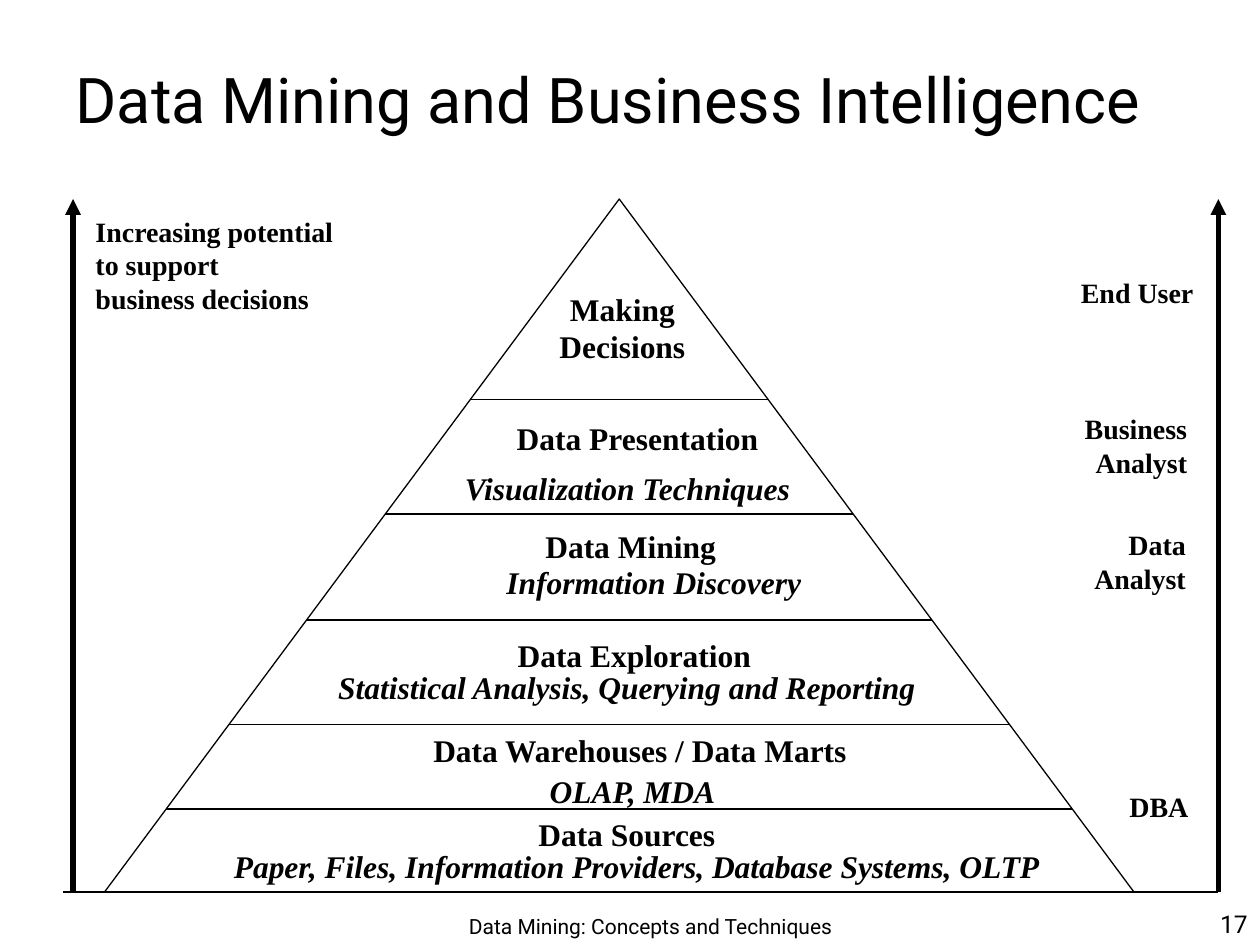
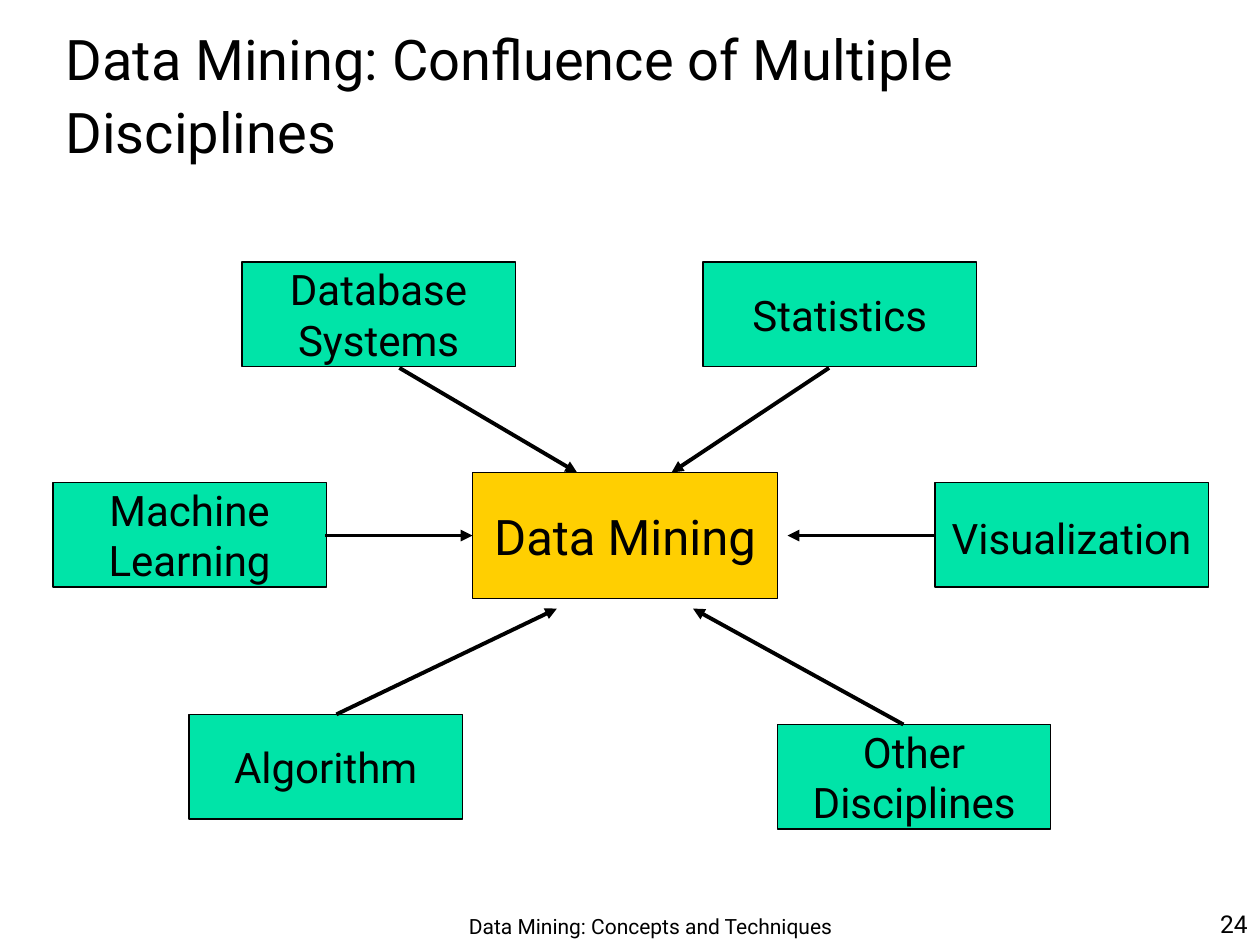
from lxml.etree import SubElement
from pptx import Presentation
from pptx.dml.color import RGBColor
from pptx.enum.shapes import MSO_CONNECTOR, MSO_SHAPE
from pptx.enum.text import MSO_ANCHOR, PP_ALIGN
from pptx.oxml.ns import qn
from pptx.util import Inches, Pt

# Shared look
BLACK = RGBColor(0x00, 0x00, 0x00)
WHITE = RGBColor(0xFF, 0xFF, 0xFF)
GREEN = RGBColor(0x00, 0xE4, 0xA8)
YELLOW = RGBColor(0xFF, 0xCF, 0x01)
SANS = "Roboto"
SERIF = "Times New Roman"
THIN = 0.74
FOOTER = "Data Mining: Concepts and Techniques"
TITLE_ONLY = 5

# Pyramid outline, and room added on each side of a label
LEFT, TOP, WIDTH, HEIGHT = 0.83, 1.58, 8.17, 5.5
BASE = TOP + HEIGHT
ROOM = 0.15


def write(tf, text, font=SANS, size=18, bold=False, italic=False,
          align=PP_ALIGN.LEFT, anchor=MSO_ANCHOR.TOP, wrap=False,
          line_spacing=None, space_before=0):
    """Fill a text frame, one paragraph for each line of text."""
    tf.word_wrap = wrap
    tf.vertical_anchor = anchor
    for i, line in enumerate(text.split("\n")):
        p = tf.paragraphs[0] if i == 0 else tf.add_paragraph()
        p.alignment = align
        p.space_before = Pt(space_before)
        if line_spacing:
            p.line_spacing = line_spacing
        r = p.add_run()
        r.text = line
        r.font.name = font
        r.font.size = Pt(size)
        r.font.bold = bold
        r.font.italic = italic
        r.font.color.rgb = BLACK


def add_text(slide, box, text, **fmt):
    sp = slide.shapes.add_textbox(*map(Inches, box))
    write(sp.text_frame, text, **fmt)


def add_shape(slide, kind, box, fill=None):
    sp = slide.shapes.add_shape(kind, *map(Inches, box))
    sp.shadow.inherit = False
    if fill is None:
        sp.fill.background()
    else:
        sp.fill.solid()
        sp.fill.fore_color.rgb = fill
    sp.line.color.rgb = BLACK
    sp.line.width = Pt(THIN)
    return sp


def add_box(slide, box, text, fill, **fmt):
    sp = add_shape(slide, MSO_SHAPE.RECTANGLE, box, fill)
    write(sp.text_frame, text, align=PP_ALIGN.CENTER,
          anchor=MSO_ANCHOR.MIDDLE, **fmt)


def add_line(slide, start, end, width=THIN, arrow=False):
    ends = map(Inches, (*start, *end))
    line = slide.shapes.add_connector(MSO_CONNECTOR.STRAIGHT, *ends)
    line.line.color.rgb = BLACK
    line.line.width = Pt(width)
    if arrow:
        SubElement(line.line._get_or_add_ln(), qn("a:tailEnd"), type="triangle")
    SubElement(line._element.spPr, qn("a:effectLst"))


def add_slide(prs, title, title_box, size, number):
    """Start a slide with its title, footer and page number."""
    s = prs.slides.add_slide(prs.slide_layouts[TITLE_ONLY])
    s.background.fill.solid()
    s.background.fill.fore_color.rgb = WHITE
    sp = s.shapes.title
    sp.left, sp.top, sp.width, sp.height = map(Inches, title_box)
    write(sp.text_frame, title, size=size, anchor=MSO_ANCHOR.MIDDLE,
          wrap=True, line_spacing=Pt(42))
    add_text(s, (3.58, 7.08, 3.17, 0.42), FOOTER, size=12, wrap=True,
             align=PP_ALIGN.CENTER, anchor=MSO_ANCHOR.BOTTOM)
    add_text(s, (7.92, 7, 2.08, 0.5), str(number), size=14, wrap=True,
             align=PP_ALIGN.RIGHT, anchor=MSO_ANCHOR.BOTTOM)
    return s


def build_pyramid(prs):
    s = add_slide(prs, "Data Mining and Business Intelligence",
                  (0.5, 0.5, 9.5, 0.58), 36, 17)

    # Pyramid, with dividers that reach its sides
    add_shape(s, MSO_SHAPE.FLOWCHART_EXTRACT, (LEFT, TOP, WIDTH, HEIGHT))
    middle = LEFT + WIDTH / 2
    for y in (3.17, 4.08, 4.92, 5.75, 6.42):
        half = WIDTH / 2 * (y - TOP) / HEIGHT
        add_line(s, (middle - half, y), (middle + half, y))

    # Base line and the two upward arrows
    add_line(s, (0.5, BASE), (9.67, BASE))
    for x in (0.58, 9.67):
        add_line(s, (x, BASE), (x, TOP), width=3, arrow=True)

    # Layer names, and in italics what each layer uses
    layers = [
        ((4.34, 2.25, 1.2, 0.7), "Making\nDecisions", False),
        ((4, 3.28, 2.12, 0.4), "Data Presentation", False),
        ((3.57, 3.67, 2.82, 0.4), "Visualization Techniques", True),
        ((4.23, 4.13, 1.55, 0.4), "Data Mining", False),
        ((3.92, 4.42, 2.54, 0.4), "Information Discovery", True),
        ((4, 5, 2.07, 0.4), "Data Exploration", False),
        ((2.58, 5.25, 4.79, 0.4),
         "Statistical Analysis, Querying and Reporting", True),
        ((3.33, 5.75, 3.5, 0.4), "Data Warehouses / Data Marts", False),
        ((4.25, 6.08, 1.54, 0.4), "OLAP, MDA", True),
        ((4.17, 6.42, 1.61, 0.4), "Data Sources", False),
        ((1.75, 6.67, 6.61, 0.4),
         "Paper, Files, Information Providers, Database Systems, OLTP", True),
    ]
    for (x, y, w, h), text, italic in layers:
        add_text(s, (x - ROOM, y, w + 2 * ROOM, h), text, font=SERIF,
                 bold=True, italic=italic, align=PP_ALIGN.CENTER, wrap=True)

    # Notes beside the arrows; the roles share a width and end at a right edge
    add_text(s, (0.66, 1.65, 2.4, 0.9),
             "Increasing potential\nto support\nbusiness decisions",
             font=SERIF, size=16, bold=True, wrap=True)
    roles = [
        (9.57, 2.14, 0.37, "End User"),
        (9.52, 3.22, 0.64, "Business\nAnalyst"),
        (9.51, 4.14, 0.64, "Data\nAnalyst"),
        (9.53, 6.22, 0.37, "DBA"),
    ]
    role_width = 1.3
    for right, y, h, text in roles:
        add_text(s, (right - role_width, y, role_width, h), text, font=SERIF,
                 size=16, bold=True, align=PP_ALIGN.RIGHT, wrap=True)


def build_disciplines(prs):
    s = add_slide(prs, "Data Mining: Confluence of Multiple Disciplines",
                  (0.42, 0.31, 9.42, 0.83), 32, 24)
    add_box(s, (3.75, 3.75, 2.42, 1), "Data Mining", YELLOW, size=28)

    # Each discipline: corner of its box, text, arrow start and end, spacing
    lifted = {"line_spacing": 1.1, "space_before": 6}
    disciplines = [
        ((1.92, 2.08), "Database\nSystems", (3.17, 2.92), (4.58, 3.75), {}),
        ((5.58, 2.08), "Statistics", (6.58, 2.92), (5.33, 3.75), {}),
        ((6.17, 5.75), "Other\nDisciplines", (7.17, 5.75), (5.5, 4.83), {}),
        ((1.5, 5.67), "Algorithm", (2.67, 5.67), (4.42, 4.83), {}),
        ((0.42, 3.83), "Machine\nLearning", (2.58, 4.25), (3.75, 4.25), {}),
        ((7.42, 3.83), "Visualization", (7.42, 4.25), (6.25, 4.25), lifted),
    ]
    for corner, text, start, end, spacing in disciplines:
        add_box(s, (*corner, 2.17, 0.83), text, GREEN, size=24, **spacing)
        add_line(s, start, end, width=2.24, arrow=True)


def main():
    prs = Presentation()
    prs.slide_width = Inches(10)
    prs.slide_height = Inches(7.5)
    build_pyramid(prs)
    build_disciplines(prs)
    prs.save("out.pptx")


main()
